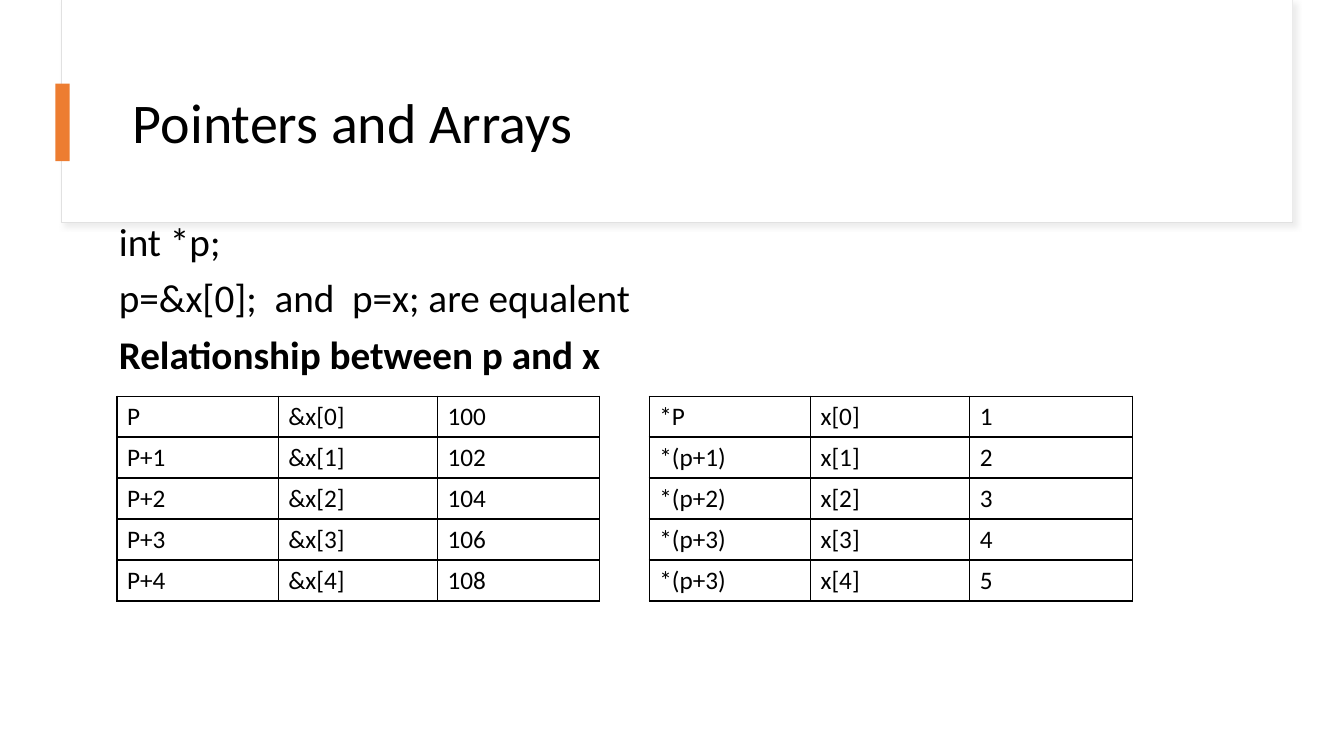
from dataclasses import dataclass

from lxml.etree import SubElement
from pptx import Presentation
from pptx.dml.color import RGBColor
from pptx.enum.shapes import MSO_SHAPE
from pptx.enum.text import MSO_ANCHOR
from pptx.oxml import parse_xml
from pptx.oxml.ns import qn
from pptx.util import Inches, Pt

DRAWING = 'xmlns:a="http://schemas.openxmlformats.org/drawingml/2006/main"'


@dataclass(frozen=True)
class Theme:
    """Colours, type sizes and slide size of the deck."""

    font: str = "Calibri"
    ink: str = "000000"
    paper: str = "FFFFFF"
    edge: str = "E1E1E1"
    shade: str = "D9D9D9"
    accent: str = "ED7D31"
    title: int = 40
    body: int = 28
    cell: int = 18
    width: float = 13.33
    height: float = 7.5


THEME = Theme()
COLUMN_SHARES = (12, 11.85, 12.08)
ROW_SHARE = 5.42


def across(share):
    """Turn a percentage of the slide width into a length."""
    return Inches(THEME.width * share / 100)


def down(share):
    """Turn a percentage of the slide height into a length."""
    return Inches(THEME.height * share / 100)


def place(left, top, width, height):
    """Turn percentages of the slide into a position and size."""
    return across(left), down(top), across(width), down(height)


def style_text(para, size, bold=False):
    """Format every run of a paragraph."""
    for span in para.runs:
        span.font.name = THEME.font
        span.font.size = Pt(size)
        span.font.bold = bold
        span.font.color.rgb = RGBColor.from_string(THEME.ink)


def add_block(page, area, colour, edge=None):
    """Add a filled rectangle, with an optional thin edge."""
    box = page.shapes.add_shape(MSO_SHAPE.RECTANGLE, *place(*area))
    box.shadow.inherit = False
    box.fill.solid()
    box.fill.fore_color.rgb = RGBColor.from_string(colour)
    if edge:
        box.line.color.rgb = RGBColor.from_string(edge)
        box.line.width = Pt(0.75)
    else:
        box.line.fill.background()
    return box


def add_soft_shadow(box):
    """Give a shape a pale shadow falling to the lower right."""
    effects = box._element.spPr.find(qn("a:effectLst"))
    effects.append(parse_xml(
        f'<a:outerShdw {DRAWING} blurRad="{Pt(4)}" dist="{Pt(3)}" dir="2700000" '
        f'algn="tl" rotWithShape="0"><a:srgbClr val="{THEME.shade}">'
        '<a:alpha val="50000"/></a:srgbClr></a:outerShdw>'))


def add_text(page, area, lines, size, anchor=MSO_ANCHOR.TOP, space=0, bold_lines=()):
    """Add a wrapped text box with one paragraph for each line."""
    frame = page.shapes.add_textbox(*place(*area)).text_frame
    frame.word_wrap = True
    frame.vertical_anchor = anchor
    frame.text = "\n".join(lines)
    for para in frame.paragraphs:
        para.line_spacing = 0.9
        para.space_before = Pt(space)
        style_text(para, size, para.text in bold_lines)


def outline_cell(cell):
    """Draw thin lines on the four sides of an unfilled cell."""
    cell.fill.background()
    properties = cell._tc.get_or_add_tcPr()
    for position, side in enumerate(("lnL", "lnR", "lnT", "lnB")):
        line = parse_xml(f'<a:{side} {DRAWING} w="{Pt(1)}"/>')
        fill = SubElement(line, qn("a:solidFill"))
        SubElement(fill, qn("a:srgbClr"), val=THEME.ink)
        properties.insert(position, line)


def add_grid(page, left, top, rows):
    """Add a plain ruled table."""
    area = place(left, top, sum(COLUMN_SHARES), ROW_SHARE * len(rows))
    table = page.shapes.add_table(len(rows), len(COLUMN_SHARES), *area).table
    table.first_row = table.horz_banding = False
    for column, share in zip(table.columns, COLUMN_SHARES):
        column.width = across(share)
    for row, values in zip(table.rows, rows):
        row.height = down(ROW_SHARE)
        for cell, value in zip(row.cells, values):
            cell.text = value
            style_text(cell.text_frame.paragraphs[0], THEME.cell)
            outline_cell(cell)


def main():
    """Build the slide and save the deck."""
    deck = Presentation()
    deck.slide_width, deck.slide_height = across(100), down(100)
    page = deck.slides.add_slide(deck.slide_layouts[6])

    panel = add_block(page, (4.58, 0, 91.6, 29.47), THEME.paper, THEME.edge)
    add_soft_shadow(panel)
    add_block(page, (4.65, 0, 91.52, 29.33), THEME.paper)
    add_text(page, (9.15, 8, 83.42, 17.2), ["Pointers and Arrays"],
             THEME.title, MSO_ANCHOR.MIDDLE)
    add_block(page, (4.13, 11.07, 1.05, 10.27), THEME.accent)

    heading = "Relationship between p and x"
    lines = ["int *p;", "p=&x[0];  and  p=x; are equalent", heading]
    add_text(page, (8.1, 28.8, 86.27, 63.47), lines, THEME.body,
             space=10, bold_lines=[heading])

    pointers = ("P", "P+1", "P+2", "P+3", "P+4")
    targets = ("*P", "*(p+1)", "*(p+2)", "*(p+3)", "*(p+3)")
    addresses = [(name, f"&x[{index}]", str(100 + 2 * index))
                 for index, name in enumerate(pointers)]
    contents = [(name, f"x[{index}]", str(index + 1))
                for index, name in enumerate(targets)]
    add_grid(page, 8.7, 52.4, addresses)
    add_grid(page, 48.31, 52.4, contents)
    deck.save("out.pptx")


main()
